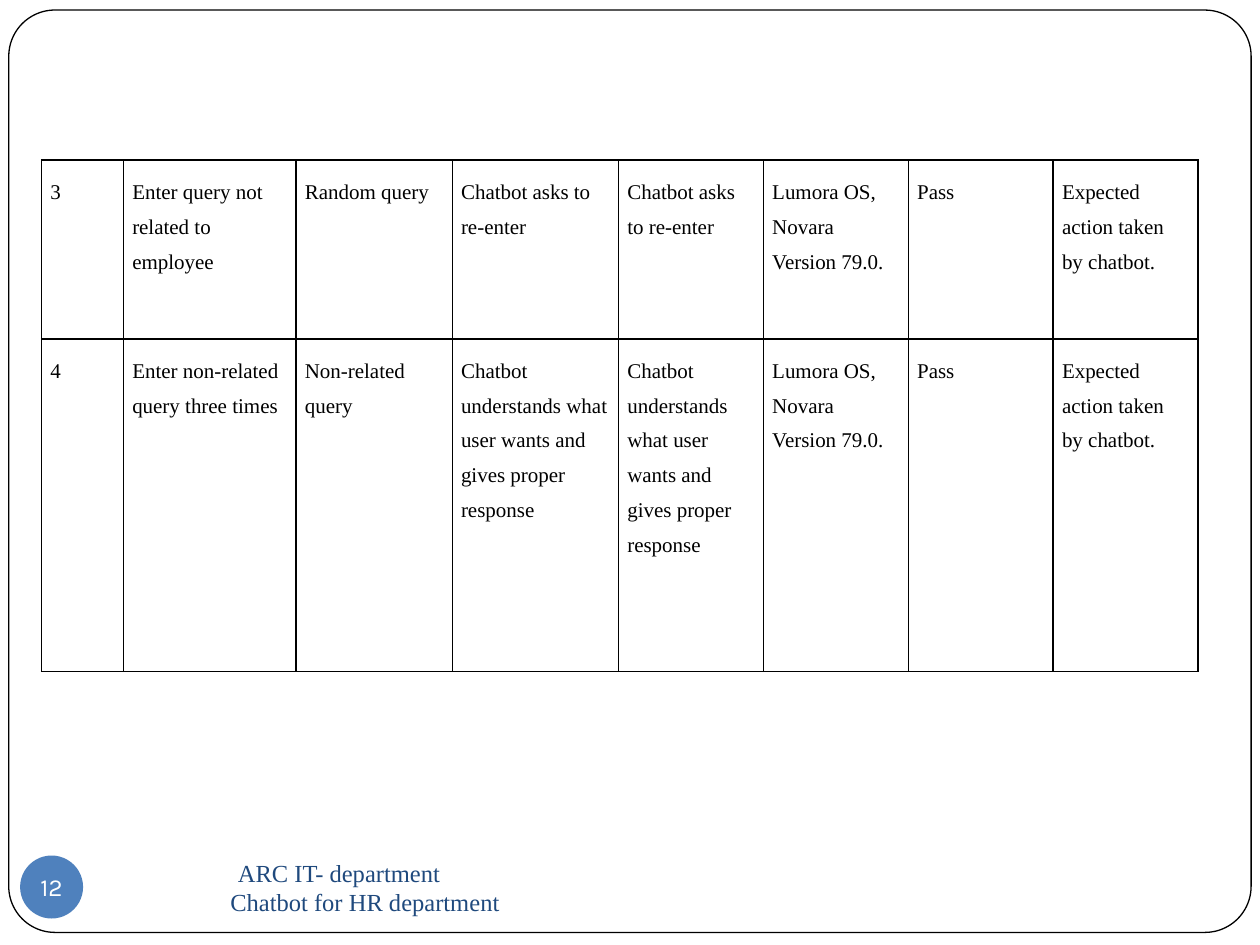
"""Build the chatbot test case slide with its table, page number and footer."""
from lxml.etree import SubElement
from pptx import Presentation
from pptx.dml.color import RGBColor
from pptx.enum.shapes import MSO_SHAPE
from pptx.enum.text import MSO_ANCHOR, PP_ALIGN
from pptx.oxml.ns import qn
from pptx.util import Inches, Pt

COLORS = {"black": "000000", "white": "FFFFFF", "badge": "4F81BD", "footer": "1F497D"}
SERIF = "Times New Roman"
PAGE_NUMBER = "12"
FOOTER_LINES = [("ARC IT- department", 1.06), ("Chatbot for HR department", 1.0)]

ENVIRONMENT = "Lumora OS,\nNovara Version 79.0."
REMARK = "Expected action taken by chatbot."
REENTER = "Chatbot asks to re-enter"
UNDERSTANDS = "Chatbot understands what user wants and gives proper response"
TEST_CASES = [
    ("3", "Enter query not related to employee", "Random query",
     REENTER, REENTER, ENVIRONMENT, "Pass", REMARK),
    ("4", "Enter non-related query three times", "Non-related query",
     UNDERSTANDS, UNDERSTANDS, ENVIRONMENT, "Pass", REMARK),
]
COLUMN_WIDTHS = [0.65, 1.37, 1.24, 1.32, 1.15, 1.15, 1.15, 1.15]
ROW_HEIGHTS = [1.42, 2.64]
CELL_MARGIN = Inches(0.07)


def rgb(name):
    return RGBColor.from_string(COLORS[name])


def format_runs(paragraph, size, font, color):
    for run in paragraph.runs:
        run.font.size = Pt(size)
        run.font.name = font
        run.font.color.rgb = rgb(color)


def add_panel(slide, preset, box, fill):
    panel = slide.shapes.add_shape(preset, *map(Inches, box))
    panel.shadow.inherit = False
    panel.fill.solid()
    panel.fill.fore_color.rgb = rgb(fill)
    return panel


def add_borders(cell):
    properties = cell._tc.get_or_add_tcPr()
    for side in ("lnL", "lnR", "lnT", "lnB"):
        border = SubElement(properties, qn(f"a:{side}"), w=str(Pt(1)))
        fill = SubElement(border, qn("a:solidFill"))
        SubElement(fill, qn("a:srgbClr"), val=COLORS["black"])


def fill_cell(cell, text):
    add_borders(cell)
    cell.fill.background()
    cell.margin_left = cell.margin_right = CELL_MARGIN
    cell.margin_top = cell.margin_bottom = CELL_MARGIN
    cell.text_frame.text = text
    for paragraph in cell.text_frame.paragraphs:
        paragraph.line_spacing = 1.5
        format_runs(paragraph, 12, SERIF, "black")


def add_test_cases(slide):
    test_table = slide.shapes.add_table(
        len(TEST_CASES), len(COLUMN_WIDTHS), Inches(0.33), Inches(1.27),
        Inches(sum(COLUMN_WIDTHS)), Inches(sum(ROW_HEIGHTS))).table
    test_table.first_row = test_table.horz_banding = False
    for column, width in zip(test_table.columns, COLUMN_WIDTHS):
        column.width = Inches(width)
    for row, height, test_case in zip(test_table.rows, ROW_HEIGHTS, TEST_CASES):
        row.height = Inches(height)
        for cell, text in zip(row.cells, test_case):
            fill_cell(cell, text)


def add_page_number(slide):
    badge = add_panel(slide, MSO_SHAPE.OVAL, (0.16, 6.79, 0.5, 0.5), "badge")
    badge.line.fill.background()
    frame = badge.text_frame
    frame.margin_left = frame.margin_right = frame.margin_top = frame.margin_bottom = 0
    frame.vertical_anchor = MSO_ANCHOR.MIDDLE
    frame.word_wrap = False
    frame.text = PAGE_NUMBER
    frame.paragraphs[0].alignment = PP_ALIGN.CENTER
    format_runs(frame.paragraphs[0], 14, "Karla", "white")


def add_footer(slide):
    footer = slide.shapes.add_textbox(*map(Inches, (0.73, 6.79, 5.33, 0.5))).text_frame
    footer.word_wrap = True
    footer.vertical_anchor = MSO_ANCHOR.MIDDLE
    footer.text = "\n".join(text for text, _ in FOOTER_LINES)
    for paragraph, (_, indent) in zip(footer.paragraphs, FOOTER_LINES):
        paragraph._p.get_or_add_pPr().set("marL", str(Inches(indent)))
        format_runs(paragraph, 14, SERIF, "footer")


def main():
    presentation = Presentation()
    presentation.slide_width, presentation.slide_height = Inches(10), Inches(7.5)
    slide = presentation.slides.add_slide(presentation.slide_layouts[6])
    frame = add_panel(slide, MSO_SHAPE.ROUNDED_RECTANGLE, (0.07, 0.08, 9.86, 7.32), "white")
    frame.adjustments[0] = 0.05
    frame.line.color.rgb = rgb("black")
    frame.line.width = Pt(0.75)
    add_page_number(slide)
    add_test_cases(slide)
    add_footer(slide)
    presentation.save("out.pptx")


if __name__ == "__main__":
    main()
